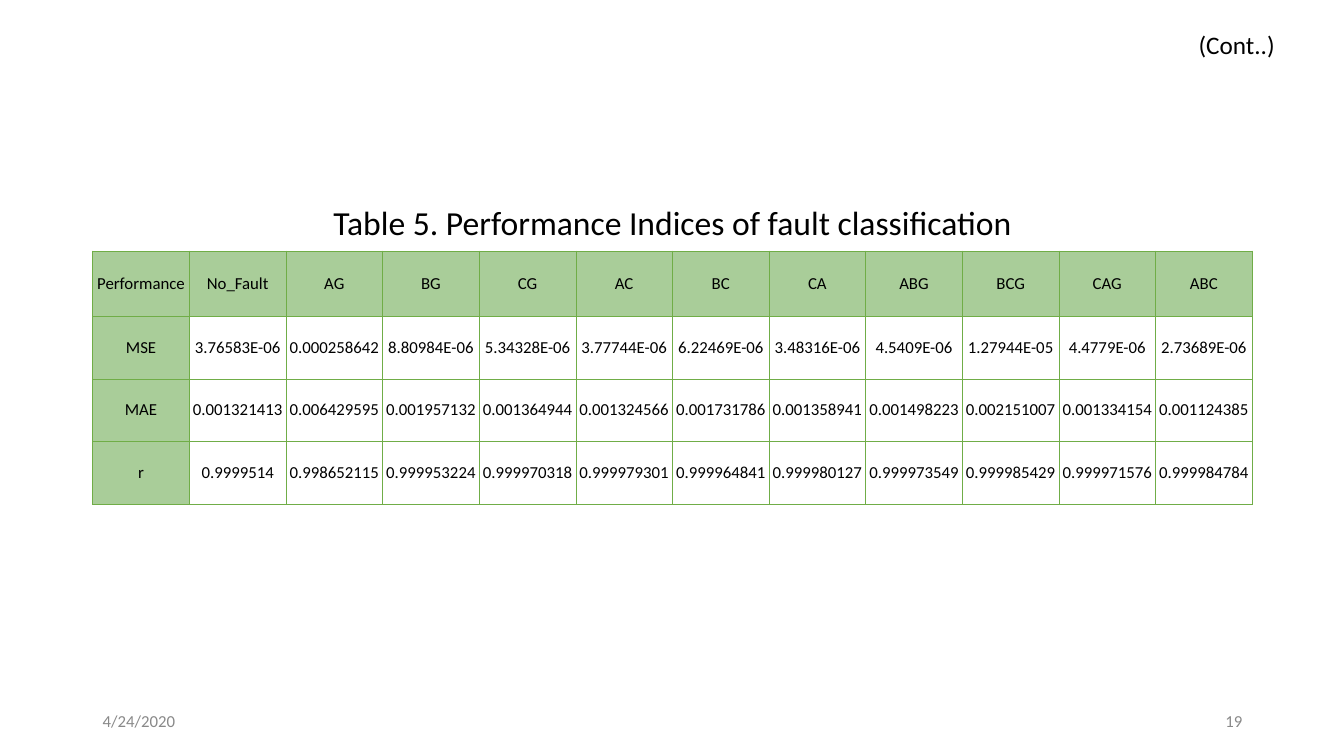
import lxml.etree
import pptx
import pptx.dml.color
import pptx.enum.text
import pptx.oxml.ns
import pptx.util

TABLE = [
    ["Performance", "No_Fault", "AG", "BG", "CG", "AC", "BC", "CA", "ABG", "BCG", "CAG", "ABC"],
    ["MSE", "3.76583E-06", "0.000258642", "8.80984E-06", "5.34328E-06", "3.77744E-06", "6.22469E-06",
     "3.48316E-06", "4.5409E-06", "1.27944E-05", "4.4779E-06", "2.73689E-06"],
    ["MAE", "0.001321413", "0.006429595", "0.001957132", "0.001364944", "0.001324566", "0.001731786",
     "0.001358941", "0.001498223", "0.002151007", "0.001334154", "0.001124385"],
    ["r", "0.9999514", "0.998652115", "0.999953224", "0.999970318", "0.999979301", "0.999964841",
     "0.999980127", "0.999973549", "0.999985429", "0.999971576", "0.999984784"],
]
WIDTH, HEIGHT = 13.33, 7.5
LEFT, TABLE_TOP, TABLE_WIDTH = 0.92, 2.49, 11.5
ROW_HEIGHTS = [0.65, 0.62, 0.62, 0.62]
FOOTER_TOP, FOOTER_WIDTH = 6.95, 3
GRAY, BORDER, HEADER, BODY = "898989", "70AD47", "A9CD99", "FFFFFF"

ALIGN = pptx.enum.text.PP_ALIGN
ANCHOR = pptx.enum.text.MSO_ANCHOR
TEXTS = [
    ("4/24/2020", (LEFT, FOOTER_TOP, FOOTER_WIDTH, 0.4),
     dict(size=12, color=GRAY, anchor=ANCHOR.MIDDLE)),
    ("19", (LEFT + TABLE_WIDTH - FOOTER_WIDTH, FOOTER_TOP, FOOTER_WIDTH, 0.4),
     dict(size=12, color=GRAY, align=ALIGN.RIGHT, anchor=ANCHOR.MIDDLE)),
    ("(Cont..)", (11.79, 0.24, 0.97, 0.4), dict(size=18, wrap=False)),
    ("Table 5. Performance Indices of fault classification", (LEFT, 1.95, TABLE_WIDTH, 0.5),
     dict(size=24, align=ALIGN.CENTER)),
]


def rgb(value):
    return pptx.dml.color.RGBColor.from_string(value)


def write(tf, text, size=12, color="000000", align=ALIGN.LEFT, anchor=ANCHOR.TOP, wrap=True):
    tf.word_wrap = wrap
    tf.vertical_anchor = anchor
    p = tf.paragraphs[0]
    p.alignment = align
    r = p.add_run()
    r.text = text
    r.font.name = "Calibri"
    r.font.size = pptx.util.Pt(size)
    r.font.color.rgb = rgb(color)


def set_borders(cell, color, width):
    qn = pptx.oxml.ns.qn
    props = cell._tc.get_or_add_tcPr()
    for i, side in enumerate(("a:lnL", "a:lnR", "a:lnT", "a:lnB")):
        line = lxml.etree.Element(qn(side), w=str(pptx.util.Pt(width)))
        fill = lxml.etree.SubElement(line, qn("a:solidFill"))
        lxml.etree.SubElement(fill, qn("a:srgbClr"), val=color)
        props.insert(i, line)


def add_indices(s):
    box = [pptx.util.Inches(v) for v in (LEFT, TABLE_TOP, TABLE_WIDTH, sum(ROW_HEIGHTS))]
    table = s.shapes.add_table(len(TABLE), len(TABLE[0]), *box).table
    for column in table.columns:
        column.width = pptx.util.Inches(TABLE_WIDTH / len(TABLE[0]))
    for row, height in zip(table.rows, ROW_HEIGHTS):
        row.height = pptx.util.Inches(height)
    for i, values in enumerate(TABLE):
        for j, value in enumerate(values):
            cell = table.cell(i, j)
            cell.margin_left = cell.margin_right = cell.margin_top = cell.margin_bottom = 0
            cell.vertical_anchor = ANCHOR.MIDDLE
            cell.fill.solid()
            cell.fill.fore_color.rgb = rgb(HEADER if i == 0 or j == 0 else BODY)
            write(cell.text_frame, value, align=ALIGN.CENTER, anchor=None, wrap=None)
            set_borders(cell, BORDER, 0.5)


def main():
    prs = pptx.Presentation()
    prs.slide_width = pptx.util.Inches(WIDTH)
    prs.slide_height = pptx.util.Inches(HEIGHT)
    s = prs.slides.add_slide(prs.slide_layouts[6])
    add_indices(s)
    for text, box, style in TEXTS:
        sp = s.shapes.add_textbox(*[pptx.util.Inches(v) for v in box])
        write(sp.text_frame, text, **style)
    prs.save("out.pptx")


if __name__ == "__main__":
    main()
